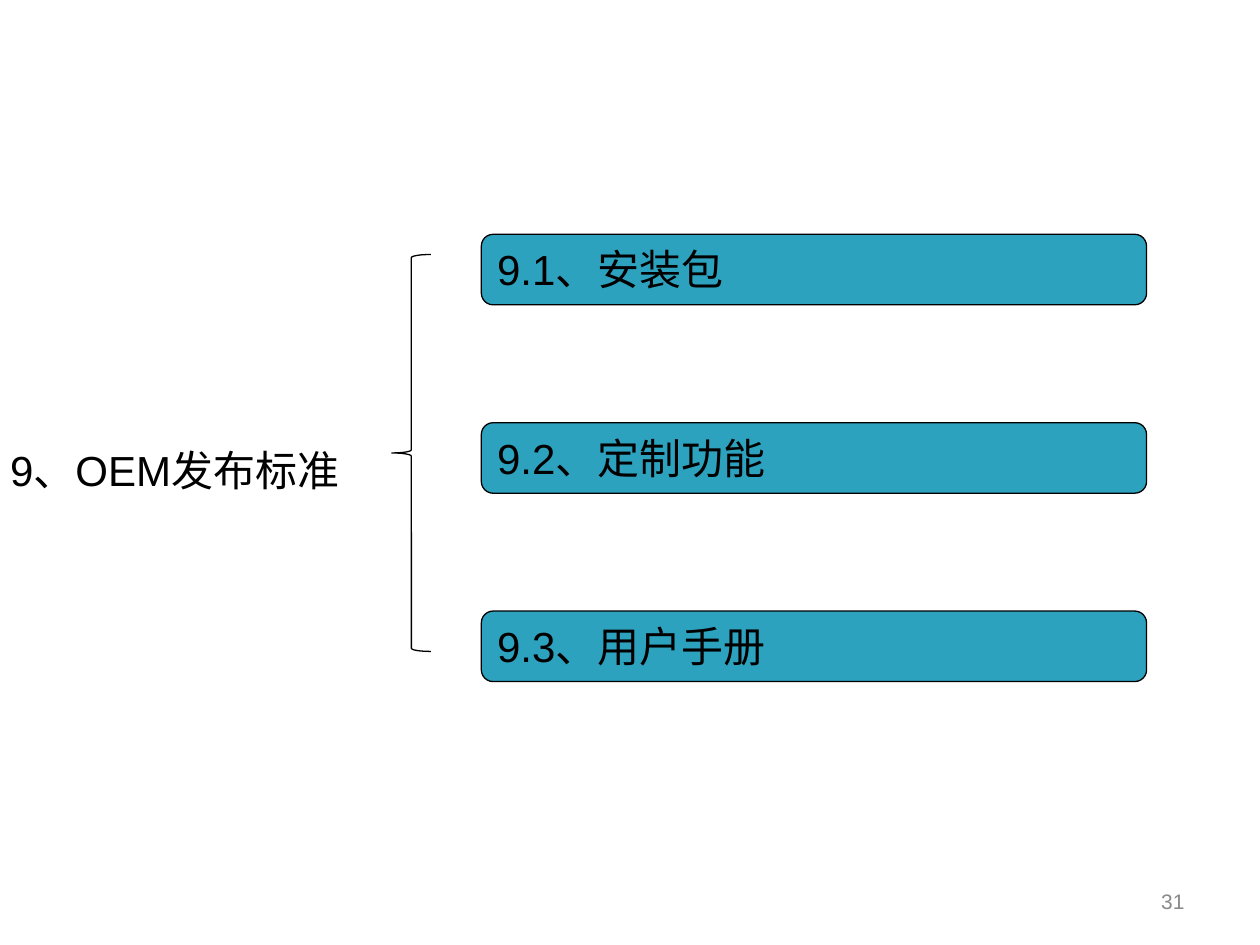
import dataclasses

import pptx
import pptx.dml.color
import pptx.enum.shapes
import pptx.enum.text
import pptx.util

Inches = pptx.util.Inches
Pt = pptx.util.Pt
Color = pptx.dml.color.RGBColor
Kind = pptx.enum.shapes.MSO_SHAPE
Align = pptx.enum.text.PP_ALIGN
Anchor = pptx.enum.text.MSO_ANCHOR
Fit = pptx.enum.text.MSO_AUTO_SIZE


@dataclasses.dataclass(frozen=True)
class Theme:
    font: str = "Arial"
    ink: Color = Color(0, 0, 0)
    teal: Color = Color(0x2D, 0xA2, 0xBF)
    gray: Color = Color(0x89, 0x89, 0x89)
    body: Pt = Pt(24)
    small: Pt = Pt(12)
    line: Pt = Pt(0.75)


THEME = Theme()
ITEMS = ["9.1、安装包", "9.2、定制功能", "9.3、用户手册"]


def write(shape, text, size=THEME.body, color=THEME.ink, align=Align.LEFT,
          anchor=Anchor.TOP, fit=Fit.SHAPE_TO_FIT_TEXT, wrap=True):
    frame = shape.text_frame
    frame.word_wrap = wrap
    frame.auto_size = fit
    frame.vertical_anchor = anchor
    para = frame.paragraphs[0]
    para.alignment = align
    run = para.add_run()
    run.text = text
    run.font.name = THEME.font
    run.font.size = size
    run.font.color.rgb = color


def outline(shape):
    shape.shadow.inherit = False
    shape.line.color.rgb = THEME.ink
    shape.line.width = THEME.line


def add_topic(slide, text):
    title = slide.shapes.title
    title.left, title.top = Inches(-0.02), Inches(3.48)
    title.width, title.height = Inches(3.05), Inches(0.5)
    write(title, text, wrap=False)


def add_item(slide, text, top):
    box = slide.shapes.add_shape(Kind.ROUNDED_RECTANGLE, Inches(3.82),
                                 Inches(top), Inches(5.28), Inches(0.56))
    box.fill.solid()
    box.fill.fore_color.rgb = THEME.teal
    outline(box)
    write(box, text)


def add_brace(slide):
    brace = slide.shapes.add_shape(Kind.LEFT_BRACE, Inches(3.11), Inches(2.02),
                                   Inches(0.31), Inches(3.15))
    brace.adjustments[0] = 0.08
    brace.fill.background()
    outline(brace)


def add_number(slide, text):
    box = slide.shapes.add_textbox(Inches(7.17), Inches(6.95),
                                   Inches(2.33), Inches(0.4))
    write(box, text, THEME.small, THEME.gray, Align.RIGHT, Anchor.MIDDLE,
          Fit.NONE)


def main():
    deck = pptx.Presentation()
    deck.slide_width, deck.slide_height = Inches(10), Inches(7.5)
    slide = deck.slides.add_slide(deck.slide_layouts[5])

    # Topic on the left, its items on the right
    add_topic(slide, "9、OEM发布标准")
    for row, text in enumerate(ITEMS):
        add_item(slide, text, 1.86 + 1.495 * row)
    add_brace(slide)

    # Page number
    add_number(slide, "31")
    deck.save("out.pptx")


if __name__ == "__main__":
    main()
